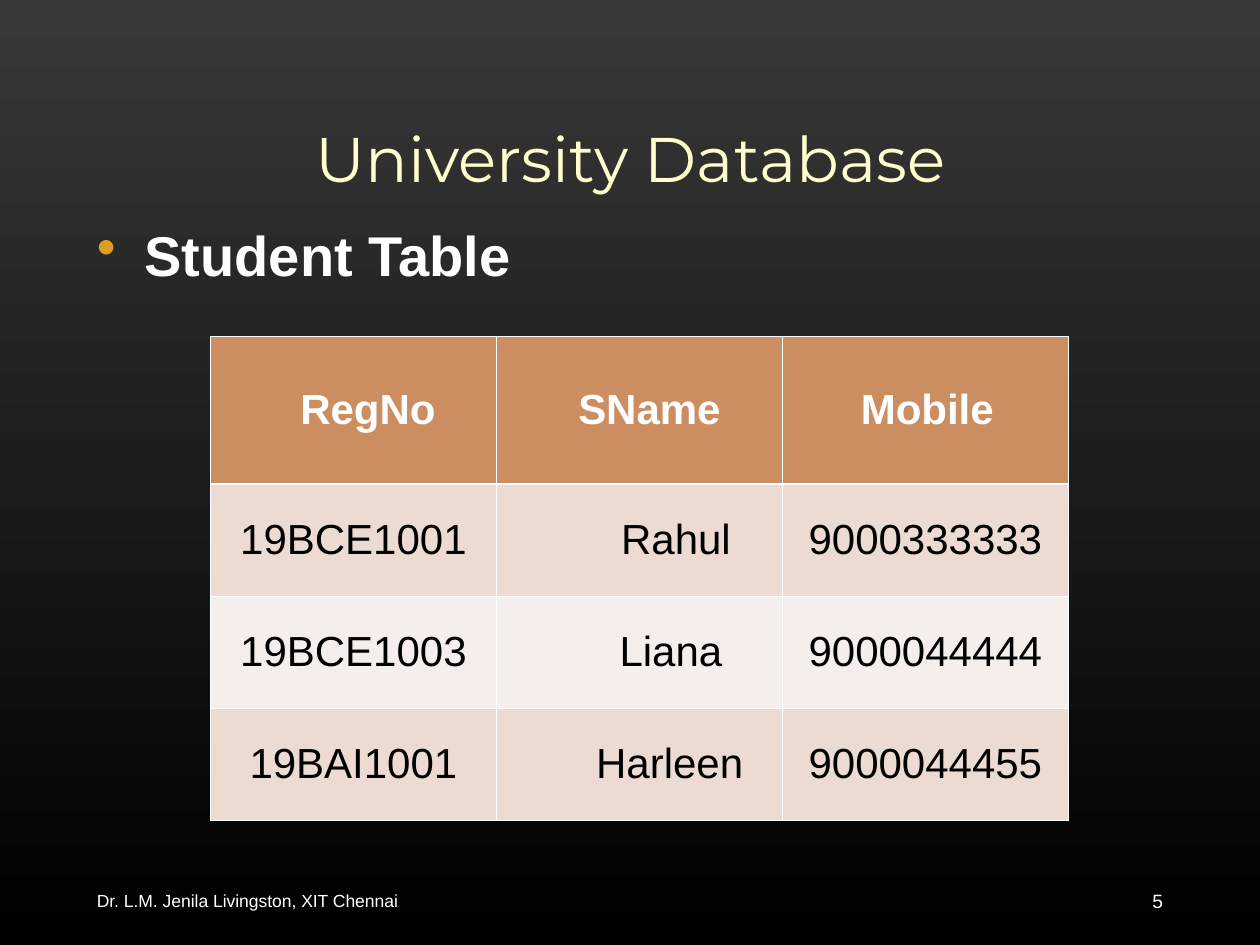
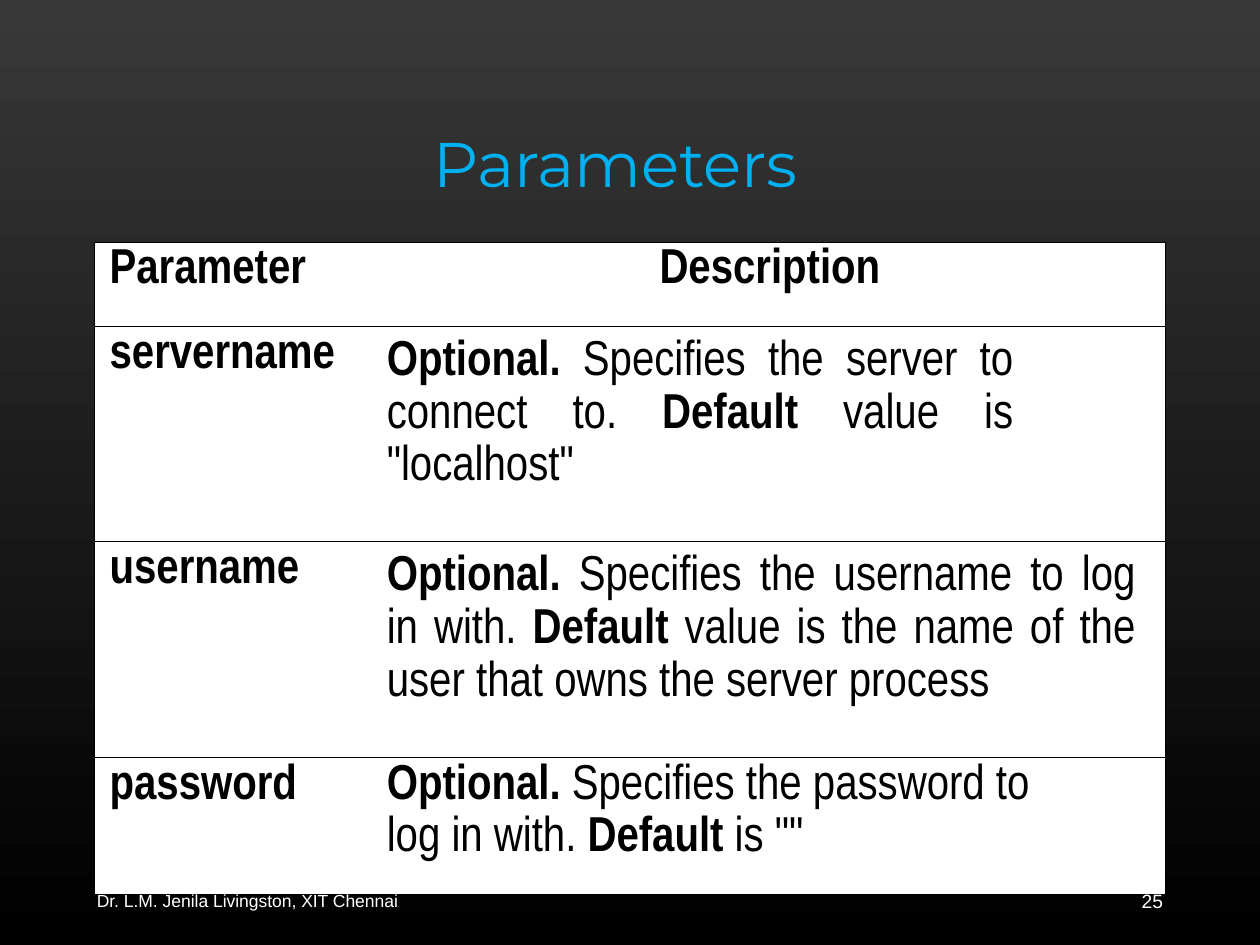
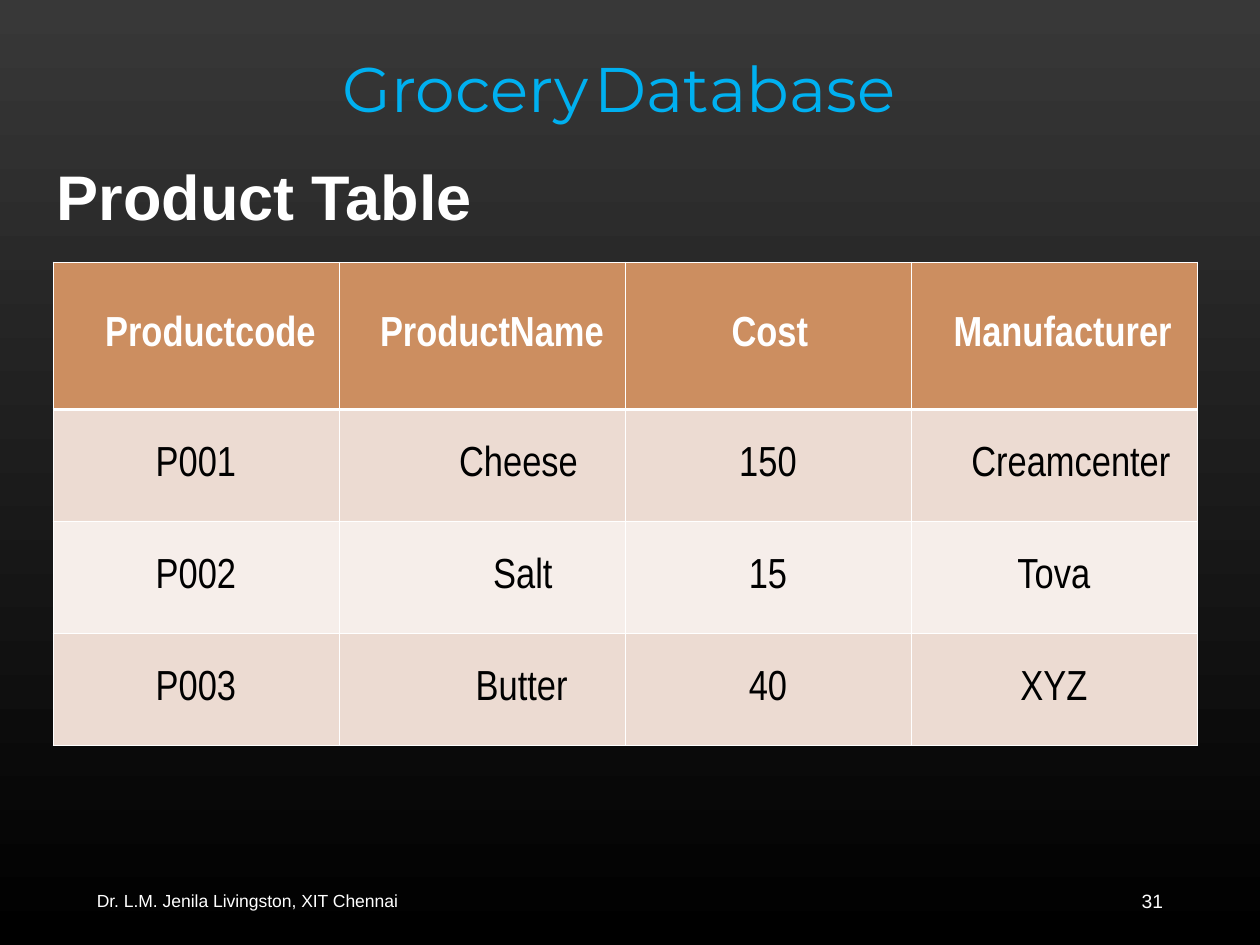
"""Builds three database lecture slides on a dark gradient."""
from dataclasses import dataclass, field
from typing import NamedTuple

from lxml.etree import SubElement
from pptx import Presentation
from pptx.dml.color import RGBColor
from pptx.enum.text import MSO_ANCHOR, PP_ALIGN
from pptx.oxml import parse_xml
from pptx.oxml.ns import nsdecls, qn
from pptx.util import Inches, Pt


@dataclass(frozen=True)
class Theme:
    """Colours, fonts, type sizes and line widths."""
    top: str = "383838"
    bottom: str = "000000"
    white: str = "FFFFFF"
    black: str = "000000"
    cream: str = "FFFFCC"
    blue: str = "00B0F0"
    gold: str = "DC9E1F"
    header: str = "CC8E60"
    band_dark: str = "ECDBD2"
    band_light: str = "F6EEEA"
    title_font: str = "Montserrat"
    body_font: str = "Arial"
    narrow_font: str = "Arial Narrow"
    title_size: float = 36
    bullet_size: float = 32
    definition_size: float = 28
    cell_size: float = 24
    number_size: float = 11
    footer_size: float = 10
    thin: float = 0.45
    thick: float = 1.47


THEME = Theme()
FOOTER = "Dr. L.M. Jenila Livingston, XIT Chennai"


class Area(NamedTuple):
    """A rectangle in inches."""
    left: float
    top: float
    width: float
    height: float


@dataclass(frozen=True)
class RecordTable:
    """A banded table of records; shifts holds the left indent of each cell."""
    left: float
    top: float
    font: str
    rows: list[list[str]]
    shifts: dict[tuple[int, int], float] = field(default_factory=dict)


class Definition(NamedTuple):
    """A parameter, its description lines and how the lines are set."""
    name: str
    lines: list[str]
    height: float
    right_inset: float = 0.1
    spacing: float = 1.0
    align: PP_ALIGN = PP_ALIGN.LEFT


TITLE_AREA = Area(0.67, 0.3, 8.67, 1.25)
HEADER_SHIFTS = {(0, 0): 0.23, (0, 1): 0.16, (0, 2): 0.03}

STUDENTS = RecordTable(
    1.67, 2.67, THEME.body_font,
    [["RegNo", "SName", "Mobile"],
     ["19BCE1001", "Rahul", "9000333333"],
     ["19BCE1003", "Liana", "9000044444"],
     ["19BAI1001", "Harleen", "9000044455"]],
    HEADER_SHIFTS | {(1, 1): 0.58, (2, 1): 0.5, (3, 1): 0.48})

PRODUCTS = RecordTable(
    0.42, 2.08, THEME.narrow_font,
    [["Productcode", "ProductName", "Cost", "Manufacturer"],
     ["P001", "Cheese", "150", "Creamcenter"],
     ["P002", "Salt", "15", "Tova"],
     ["P003", "Butter", "40", "XYZ"]],
    HEADER_SHIFTS | {(0, 3): 0.14, (1, 1): 0.58, (1, 3): 0.27, (2, 1): 0.65, (3, 1): 0.63})

DEFINITIONS = [
    Definition("Parameter", ["*Description*"], 0.67, align=PP_ALIGN.CENTER),
    Definition("servername",
               ['*Optional.* Specifies the server to connect to. *Default* value is "localhost"'],
               1.71, 1.21, 1.15, PP_ALIGN.JUSTIFY),
    Definition("username",
               ["*Optional.* Specifies the username to log in with. *Default* value is the name "
                "of the user that owns the server process"],
               1.71, 0.24, 1.15, PP_ALIGN.JUSTIFY),
    Definition("password",
               ["*Optional.* Specifies the password to", 'log in with. *Default* is ""'], 1.08),
]


def add_para(frame, text: str, *, size: float, font: str = THEME.body_font,
             color: str = THEME.white, align: PP_ALIGN = PP_ALIGN.LEFT, indent: float = 0,
             spacing: float = 1.0, before: float = 0, after: float = 0,
             bullet: str = "", tab: float = 0):
    """Write one paragraph; parts between asterisks are bold."""
    para = frame.paragraphs[0]
    if para.runs:
        para = frame.add_paragraph()
    para.alignment = align
    para.line_spacing = spacing
    para.space_before, para.space_after = Pt(before), Pt(after)
    properties = para._p.get_or_add_pPr()
    properties.set("marL", str(Inches(indent)))
    properties.set("indent", str(-Inches(indent) if bullet else 0))
    if bullet:
        mark_color = SubElement(properties, qn("a:buClr"))
        SubElement(mark_color, qn("a:srgbClr"), val=THEME.gold)
        SubElement(properties, qn("a:buChar"), char=bullet)
    if tab:
        stops = SubElement(properties, qn("a:tabLst"))
        SubElement(stops, qn("a:tab"), pos=str(Inches(tab)), algn="l")
    for index, part in enumerate(text.split("*")):
        if part:
            span = para.add_run()
            span.text = part
            span.font.name, span.font.size = font, Pt(size)
            span.font.bold = index % 2 == 1
            span.font.color.rgb = RGBColor.from_string(color)
    return para


def add_text(page, area: Area, text: str, *, anchor: MSO_ANCHOR = MSO_ANCHOR.TOP,
             inset: float = 0, **style) -> None:
    """Place a text box with one paragraph."""
    frame = page.shapes.add_textbox(*map(Inches, area)).text_frame
    frame.word_wrap = True
    frame.vertical_anchor = anchor
    frame.margin_left = frame.margin_right = Inches(inset)
    frame.margin_top = frame.margin_bottom = 0
    add_para(frame, text, **style)


def add_title(page, text: str, area: Area = TITLE_AREA, *, color: str = THEME.blue,
              **style) -> None:
    """Place a slide title."""
    add_text(page, area, text, size=THEME.title_size, font=THEME.title_font, color=color, **style)


def add_footer(page, number: int) -> None:
    """Place the author line and the slide number."""
    add_text(page, Area(0.67, 6.95, 3.83, 0.4), FOOTER, size=THEME.footer_size,
             anchor=MSO_ANCHOR.MIDDLE, inset=0.1)
    add_text(page, Area(8.25, 6.95, 1.08, 0.4), str(number), size=THEME.number_size,
             anchor=MSO_ANCHOR.MIDDLE, inset=0.1, align=PP_ALIGN.RIGHT)


def add_page(deck):
    """Add a blank slide with the dark gradient."""
    page = deck.slides.add_slide(deck.slide_layouts[6])
    fill = page.background.fill
    fill.gradient()
    fill.gradient_angle = 270
    for stop, position, color in zip(fill.gradient_stops, (0, 1), (THEME.top, THEME.bottom)):
        stop.position = position
        stop.color.rgb = RGBColor.from_string(color)
    return page


def add_grid(page, left: float, top: float, widths: list[float], heights: list[float]):
    """Add a plain table with the given column widths and row heights."""
    area = Area(left, top, sum(widths), sum(heights))
    grid = page.shapes.add_table(len(heights), len(widths), *map(Inches, area)).table
    grid.first_row = grid.horz_banding = False
    for column, width in zip(grid.columns, widths):
        column.width = Inches(width)
    for row, height in zip(grid.rows, heights):
        row.height = Inches(height)
    return grid


def paint_cell(cell, fill: str, line: str, borders: dict[str, float]) -> None:
    """Fill a cell and draw its borders; a width of 0 hides a border."""
    cell.fill.solid()
    cell.fill.fore_color.rgb = RGBColor.from_string(fill)
    properties = cell._tc.get_or_add_tcPr()
    for index, side in enumerate("LRTB"):
        width = borders[side]
        paint = f'<a:solidFill><a:srgbClr val="{line}"/></a:solidFill>' if width else "<a:noFill/>"
        properties.insert(index, parse_xml(
            f'<a:ln{side} {nsdecls("a")} w="{Pt(width)}">{paint}</a:ln{side}>'))


def add_records(page, table: RecordTable) -> None:
    """Draw a banded table with a coloured header row."""
    grid = add_grid(page, table.left, table.top, [2.27] * len(table.rows[0]),
                    [1.17] + [0.89] * (len(table.rows) - 1))
    for row, values in enumerate(table.rows):
        is_header = row == 0
        band = THEME.band_dark if row % 2 else THEME.band_light
        borders = dict.fromkeys("LRTB", THEME.thin)
        if row < 2:
            borders["B" if is_header else "T"] = THEME.thick
        for column, value in enumerate(values):
            cell = grid.cell(row, column)
            cell.vertical_anchor = MSO_ANCHOR.MIDDLE
            add_para(cell.text_frame, f"*{value}*" if is_header else value,
                     size=THEME.cell_size, font=table.font, align=PP_ALIGN.CENTER,
                     color=THEME.white if is_header else THEME.black,
                     indent=table.shifts.get((row, column), 0))
            paint_cell(cell, THEME.header if is_header else band, THEME.white, borders)


def add_definitions(page, definitions: list[Definition]) -> None:
    """Draw the white table of parameters and descriptions."""
    grid = add_grid(page, 0.75, 1.92, [2.2, 6.3], [item.height for item in definitions])
    style = dict(size=THEME.definition_size, font=THEME.narrow_font, color=THEME.black,
                 indent=0.02)
    outline = dict.fromkeys("LRTB", THEME.thin)
    for row, item in enumerate(definitions):
        name, description = grid.cell(row, 0), grid.cell(row, 1)
        add_para(name.text_frame, f"*{item.name}*", **style)
        for index, line in enumerate(item.lines):
            add_para(description.text_frame, line, align=item.align, spacing=item.spacing,
                     before=3.6 if index else 0, **style)
        description.margin_right = Inches(item.right_inset)
        paint_cell(name, THEME.white, THEME.black, outline | {"R": 0})
        paint_cell(description, THEME.white, THEME.black, outline | {"L": 0})


def build_students(deck) -> None:
    """Build the student table slide."""
    page = add_page(deck)
    add_title(page, "University Database", color=THEME.cream, anchor=MSO_ANCHOR.BOTTOM,
              align=PP_ALIGN.CENTER)
    add_footer(page, 5)
    add_text(page, Area(0.67, 1.75, 8.67, 4.5), "*Student Table*", size=THEME.bullet_size,
             inset=0.1, indent=0.38, before=8, after=6, bullet="•")
    add_records(page, STUDENTS)


def build_parameters(deck) -> None:
    """Build the connection parameters slide."""
    page = add_page(deck)
    add_title(page, "Parameters", TITLE_AREA._replace(top=0.34), anchor=MSO_ANCHOR.BOTTOM,
              indent=2.77)
    add_definitions(page, DEFINITIONS)
    add_footer(page, 25)


def build_products(deck) -> None:
    """Build the product table slide."""
    page = add_page(deck)
    add_title(page, "Grocery\tDatabase", Area(2.71, 0.39, 5.04, 0.6), indent=0.01, tab=2.26)
    add_records(page, PRODUCTS)
    add_footer(page, 31)
    add_text(page, Area(0.44, 1.25, 4.59, 0.6), "*Product Table*", size=THEME.title_size,
             indent=0.01)


def main() -> None:
    """Build and save the deck."""
    deck = Presentation()
    deck.slide_width, deck.slide_height = Inches(10), Inches(7.5)
    for build in (build_students, build_parameters, build_products):
        build(deck)
    deck.save("out.pptx")


if __name__ == "__main__":
    main()
